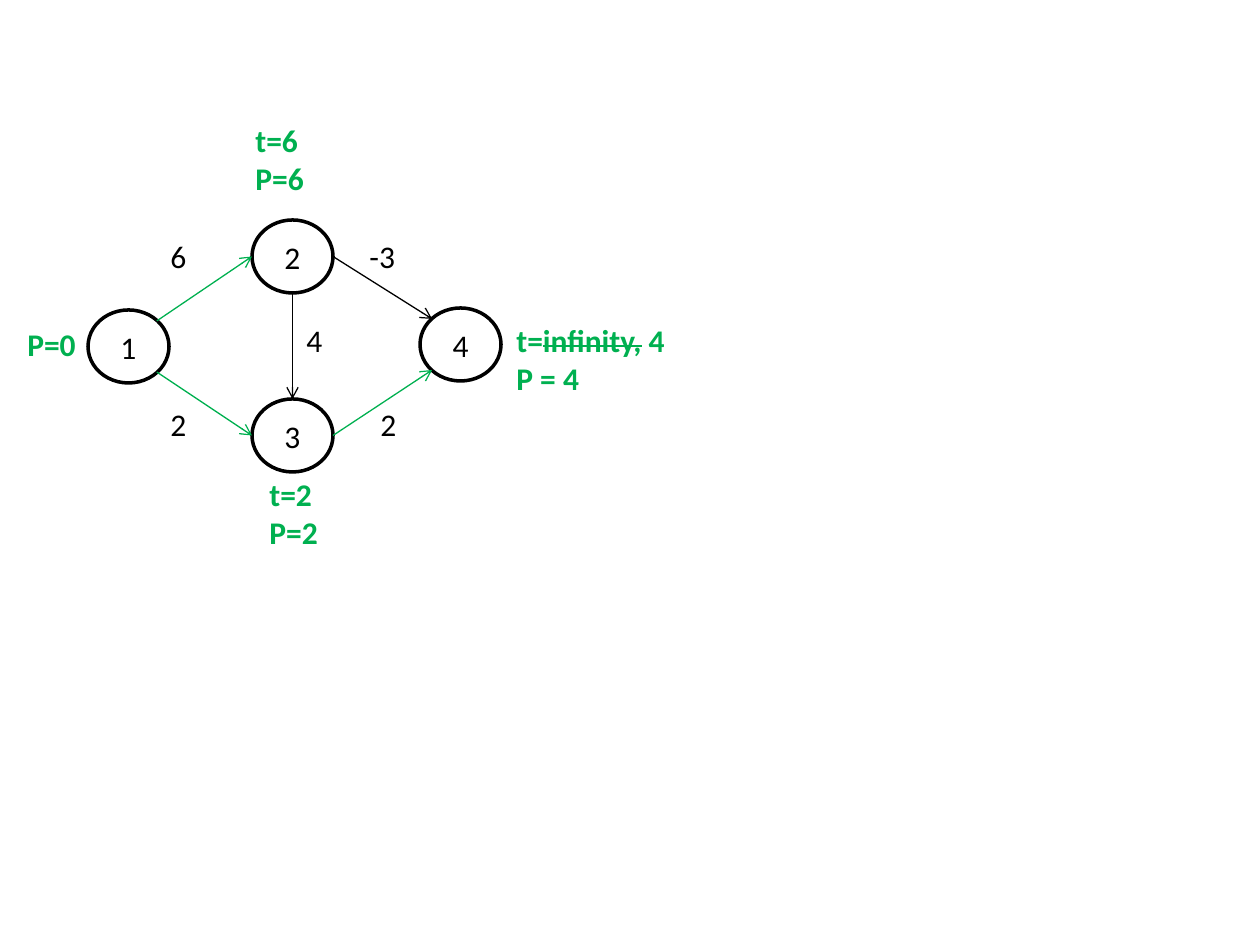
"""Draw a four-node weighted graph with node labels."""
from lxml import etree
from pptx import Presentation
from pptx.dml.color import RGBColor
from pptx.enum.shapes import MSO_CONNECTOR, MSO_SHAPE
from pptx.enum.text import MSO_ANCHOR, MSO_AUTO_SIZE, PP_ALIGN
from pptx.oxml.ns import qn
from pptx.util import Emu, Pt

OVAL = MSO_SHAPE.OVAL
LINE = MSO_CONNECTOR.STRAIGHT
MIDDLE = MSO_ANCHOR.MIDDLE
CENTER = PP_ALIGN.CENTER
GROW = MSO_AUTO_SIZE.SHAPE_TO_FIT_TEXT
BLACK = RGBColor(0, 0, 0)
WHITE = RGBColor(255, 255, 255)
GREEN = RGBColor(0, 176, 80)
WIDE, HIGH = 81, 73


def px(*sizes):
    return [Emu(round(size * 914400 / 126)) for size in sizes]


def style(frame, color, bold=False):
    for para in frame.paragraphs:
        for run in para.runs:
            run.font.name = "Calibri"
            run.font.size = Pt(18)
            run.font.bold = bold
            run.font.color.rgb = color


deck = Presentation()
deck.slide_width, deck.slide_height = px(1260, 945)
slide = deck.slides.add_slide(deck.slide_layouts[6])
shapes = slide.shapes

nodes = {"1": (88, 310), "2": (252, 220), "3": (252, 399), "4": (420, 308)}
for name, (x, y) in nodes.items():
    node = shapes.add_shape(OVAL, *px(x, y, WIDE, HIGH))
    node.shadow.inherit = False
    node.fill.solid()
    node.fill.fore_color.rgb = WHITE
    node.line.color.rgb = BLACK
    node.line.width = Pt(2)
    frame = node.text_frame
    frame.text = name
    frame.vertical_anchor = MIDDLE
    frame.paragraphs[0].alignment = CENTER
    style(frame, BLACK)

sites = {
    "top": (0.5, 0), "left": (0, 0.5), "bottom": (0.5, 1), "right": (1, 0.5),
    "top left": (0.15, 0.15), "bottom left": (0.15, 0.85),
    "top right": (0.85, 0.15), "bottom right": (0.85, 0.85),
}
edges = [
    ("1", "top right", "2", "left", GREEN),
    ("1", "bottom right", "3", "left", GREEN),
    ("2", "right", "4", "top left", BLACK),
    ("3", "right", "4", "bottom left", GREEN),
    ("2", "bottom", "3", "top", BLACK),
]
for start, exit, end, entry, color in edges:
    ends = []
    for name, site in ((start, exit), (end, entry)):
        (x, y), (across, down) = nodes[name], sites[site]
        ends += [x + across * WIDE, y + down * HIGH]
    edge = shapes.add_connector(LINE, *px(*ends))
    edge.line.color.rgb = color
    edge.line.width = Pt(0.75)
    etree.SubElement(edge.line._get_or_add_ln(), qn("a:tailEnd"), type="arrow")
    etree.SubElement(edge._element.spPr, qn("a:effectLst"))

labels = [
    ("6", 158, 231, 53, 50, BLACK),
    ("2", 158, 399, 53, 50, BLACK),
    ("4", 294, 315, 53, 50, BLACK),
    ("-3", 357, 231, 53, 50, BLACK),
    ("2", 368, 399, 53, 50, BLACK),
    ("P=0", 15, 319, 77, 50, GREEN),
    ("t=6\nP=6", 243, 115, 178, 89, GREEN),
    ("t=2\nP=2", 257, 469, 77, 89, GREEN),
    ("t=\nP = 4", 504, 315, 231, 89, GREEN),
]
for text, x, y, wide, high, color in labels:
    label = shapes.add_textbox(*px(x, y, wide, high))
    frame = label.text_frame
    frame.word_wrap = True
    frame.auto_size = GROW
    frame.text = text
    style(frame, color, color == GREEN)

first = frame.paragraphs[0]
struck = first.add_run()
struck.text = "infinity,"
struck._r.get_or_add_rPr().set("strike", "sngStrike")
first.add_run().text = " 4"
style(frame, GREEN, True)

deck.save("out.pptx")
